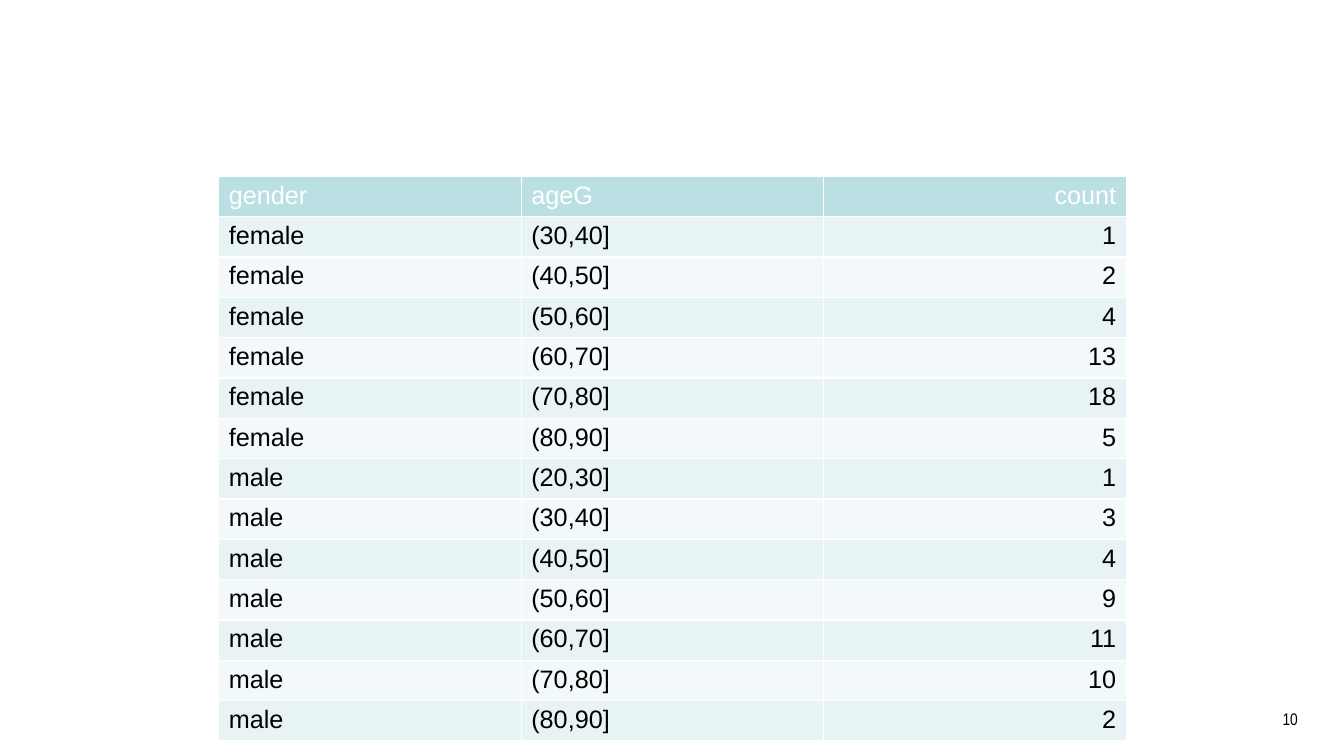
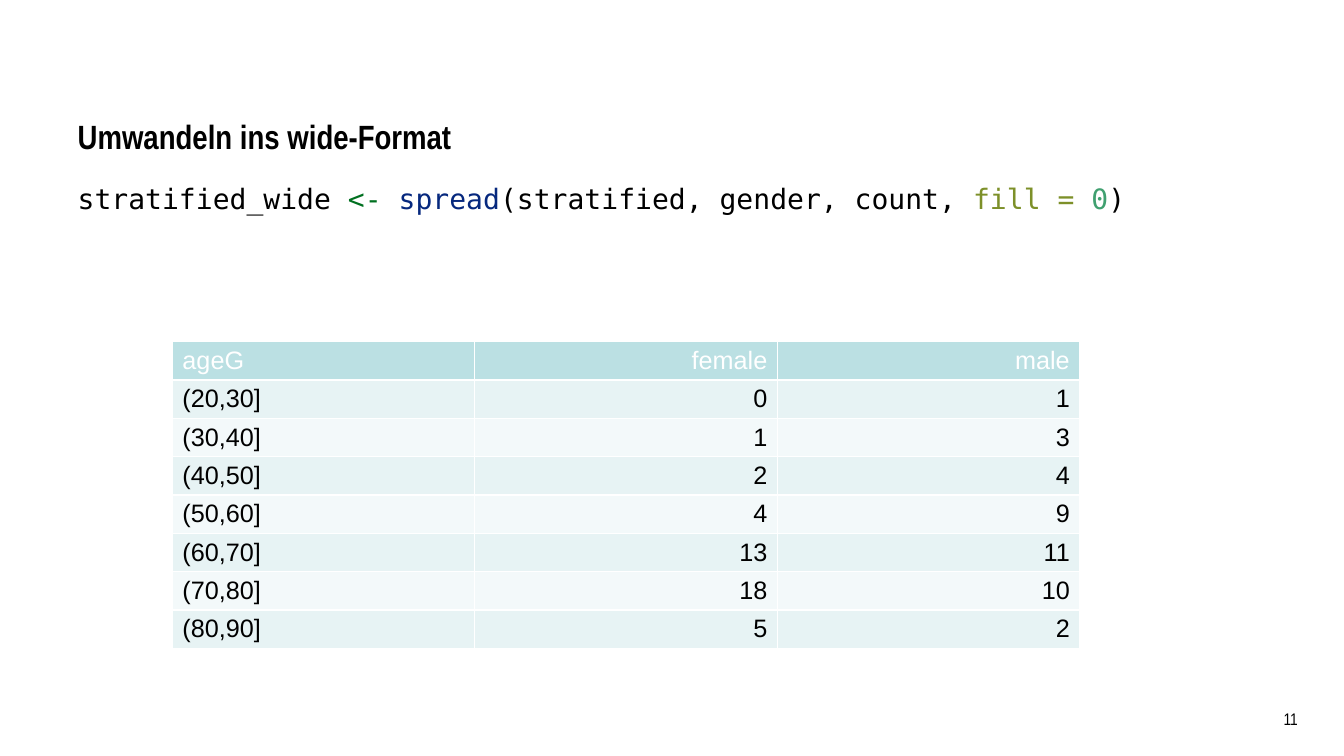
from pptx import Presentation
from pptx.dml.color import RGBColor
from pptx.enum.text import MSO_ANCHOR, MSO_AUTO_SIZE, PP_ALIGN
from pptx.util import Inches, Pt
from lxml import etree

LEFT, RIGHT = PP_ALIGN.LEFT, PP_ALIGN.RIGHT
BOTTOM, TOP = MSO_ANCHOR.BOTTOM, MSO_ANCHOR.TOP
NO_FIT = MSO_AUTO_SIZE.NONE

WHITE = RGBColor(0xFF, 0xFF, 0xFF)
BLACK = RGBColor(0x00, 0x00, 0x00)
HEADER = RGBColor(0xBB, 0xE0, 0xE3)
BAND_DARK = RGBColor(0xE7, 0xF3, 0xF4)
BAND_LIGHT = RGBColor(0xF3, 0xF9, 0xFA)
OPERATOR = RGBColor(0x00, 0x70, 0x20)
FUNCTION = RGBColor(0x06, 0x28, 0x7E)
ARGUMENT = RGBColor(0x7D, 0x90, 0x29)
NUMBER = RGBColor(0x40, 0xA0, 0x70)

BODY_FONT = "Arial"
TITLE_FONT = "Arial Narrow"
CODE_FONT = "DejaVu Sans Mono"
FIRST_NUMBER = 10
COL_WIDTH = 3

LONG_ROWS = [
    ("gender", "ageG", "count"),
    ("female", "(30,40]", 1),
    ("female", "(40,50]", 2),
    ("female", "(50,60]", 4),
    ("female", "(60,70]", 13),
    ("female", "(70,80]", 18),
    ("female", "(80,90]", 5),
    ("male", "(20,30]", 1),
    ("male", "(30,40]", 3),
    ("male", "(40,50]", 4),
    ("male", "(50,60]", 9),
    ("male", "(60,70]", 11),
    ("male", "(70,80]", 10),
    ("male", "(80,90]", 2),
]
WIDE_ROWS = [
    ("ageG", "female", "male"),
    ("(20,30]", 0, 1),
    ("(30,40]", 1, 3),
    ("(40,50]", 2, 4),
    ("(50,60]", 4, 9),
    ("(60,70]", 13, 11),
    ("(70,80]", 18, 10),
    ("(80,90]", 5, 2),
]
CODE = [
    ("stratified_wide ", BLACK),
    ("<- ", OPERATOR),
    ("spread", FUNCTION),
    ("(stratified, gender, count, ", BLACK),
    ("fill = ", ARGUMENT),
    ("0", NUMBER),
    (")", BLACK),
]


def add_run(p, text, font, size, color=BLACK, bold=False):
    r = p.add_run()
    r.text = text
    r.font.name = font
    r.font.size = Pt(size)
    r.font.bold = bold
    r.font.color.rgb = color


def add_data_table(s, left, top, row_height, rows):
    cols = len(rows[0])
    tbl = s.shapes.add_table(
        len(rows), cols, Inches(left), Inches(top),
        Inches(COL_WIDTH * cols), Inches(row_height * len(rows))).table
    for i, values in enumerate(rows):
        tbl.rows[i].height = Inches(row_height)
        for j, value in enumerate(values):
            cell = tbl.cell(i, j)
            cell.fill.solid()
            band = BAND_DARK if i % 2 else BAND_LIGHT
            cell.fill.fore_color.rgb = band if i else HEADER
            p = cell.text_frame.paragraphs[0]
            p.alignment = RIGHT if isinstance(rows[1][j], int) else LEFT
            add_run(p, str(value), BODY_FONT, 18, BLACK if i else WHITE)


prs = Presentation()
prs.slide_width = Inches(13.33)
prs.slide_height = Inches(7.5)

s = prs.slides.add_slide(prs.slide_layouts[6])
add_data_table(s, 2.17, 1.75, 0.4, LONG_ROWS)

s = prs.slides.add_slide(prs.slide_layouts[1])
title, body = s.shapes.title, s.placeholders[1]
for sp, top, height, anchor in ((title, 0.3, 1.25, BOTTOM), (body, 1.75, 4.95, TOP)):
    sp.left, sp.top = Inches(0.67), Inches(top)
    sp.width, sp.height = Inches(12), Inches(height)
    tf = sp.text_frame
    tf.auto_size = NO_FIT
    tf.vertical_anchor = anchor
    tf.paragraphs[0].alignment = LEFT

title.text_frame.margin_bottom = 0
add_run(title.text_frame.paragraphs[0], "Umwandeln ins wide-Format", TITLE_FONT, 24, bold=True)

p = body.text_frame.paragraphs[0]
pPr = p._p.get_or_add_pPr()
pPr.set("marL", "0")
pPr.set("indent", "0")
etree.SubElement(pPr, "{http://schemas.openxmlformats.org/drawingml/2006/main}buNone")
for text, color in CODE:
    add_run(p, text, CODE_FONT, 20, color)

add_data_table(s, 1.71, 3.39, 0.38, WIDE_ROWS)

for number, s in enumerate(prs.slides, FIRST_NUMBER):
    sp = s.shapes.add_textbox(Inches(12.29), Inches(6.98), Inches(0.68), Inches(0.3))
    tf = sp.text_frame
    tf.word_wrap = True
    p = tf.paragraphs[0]
    p.alignment = RIGHT
    add_run(p, str(number), TITLE_FONT, 12)

prs.save("out.pptx")
